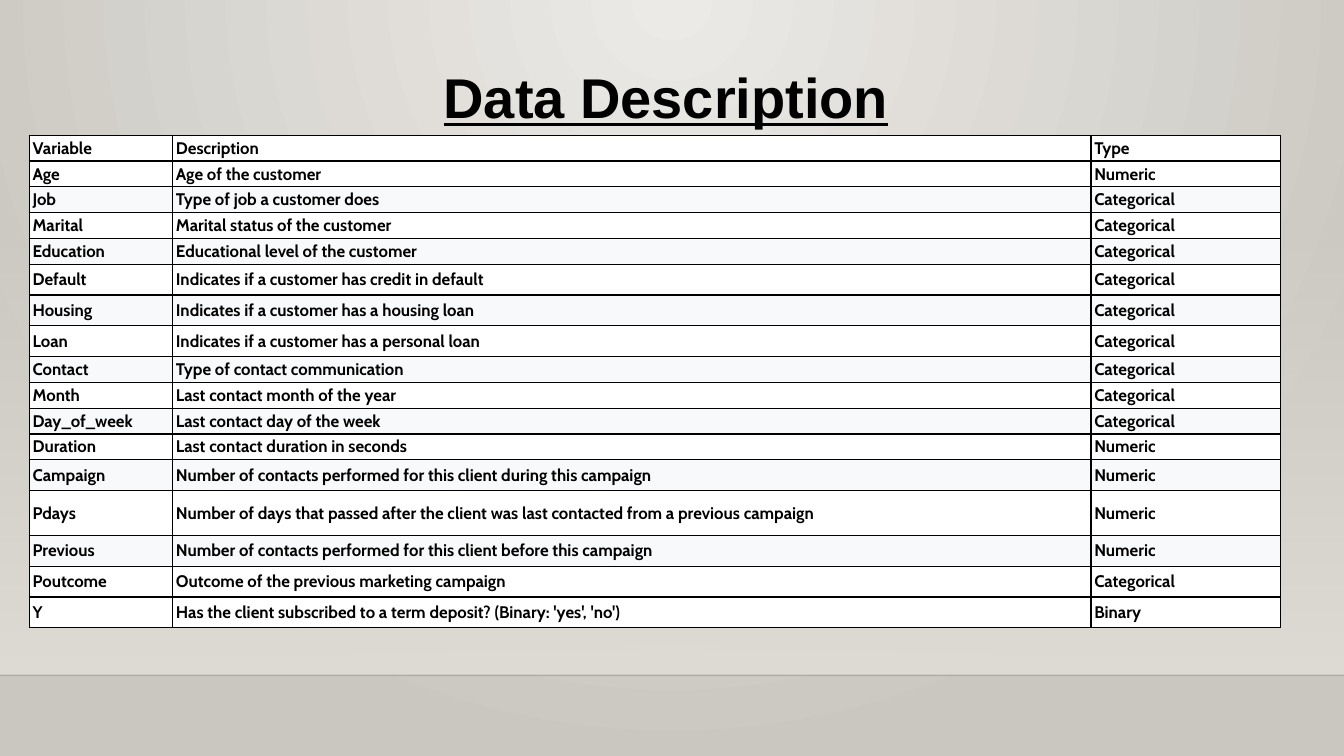
from lxml.etree import SubElement
from pptx import Presentation
from pptx.dml.color import RGBColor
from pptx.enum.shapes import MSO_CONNECTOR, MSO_SHAPE
from pptx.enum.text import MSO_ANCHOR, PP_ALIGN
from pptx.oxml.ns import qn
from pptx.util import Pt

BLACK = RGBColor(0x00, 0x00, 0x00)
EDGE = RGBColor(0x00, 0x00, 0x01)
WHITE = RGBColor(0xFF, 0xFF, 0xFF)
PALE = RGBColor(0xF8, 0xF9, 0xFA)
LIGHT = RGBColor(0xEC, 0xEA, 0xE7)
STONE = RGBColor(0xCA, 0xC7, 0xC1)
SAND = RGBColor(0xDF, 0xDB, 0xD5)

WIDE, HIGH = 960, 540
COLS = (102.4, 656, 135.2)
LOW, MID, TALL = 18.45, 22, 32

ROWS = (
    ("Variable", "Description", "Type", LOW),
    ("Age", "Age of the customer", "Numeric", LOW),
    ("Job", "Type of job a customer does", "Categorical", LOW),
    ("Marital", "Marital status of the customer", "Categorical", LOW),
    ("Education", "Educational level of the customer", "Categorical", LOW),
    ("Default", "Indicates if a customer has credit in default", "Categorical", MID),
    ("Housing", "Indicates if a customer has a housing loan", "Categorical", MID),
    ("Loan", "Indicates if a customer has a personal loan", "Categorical", MID),
    ("Contact", "Type of contact communication", "Categorical", LOW),
    ("Month", "Last contact month of the year", "Categorical", LOW),
    ("Day_of_week", "Last contact day of the week", "Categorical", LOW),
    ("Duration", "Last contact duration in seconds", "Numeric", LOW),
    ("Campaign", "Number of contacts performed for this client during this campaign",
     "Numeric", MID),
    ("Pdays", "Number of days that passed after the client was last contacted "
     "from a previous campaign", "Numeric", TALL),
    ("Previous", "Number of contacts performed for this client before this campaign",
     "Numeric", MID),
    ("Poutcome", "Outcome of the previous marketing campaign", "Categorical", MID),
    ("Y", "Has the client subscribed to a term deposit? (Binary: 'yes', 'no')",
     "Binary", MID),
)


def blend(fill, first, last):
    """Give a fill a gradient from the first colour to the last."""
    fill.gradient()
    for stop, tone, place in zip(fill.gradient_stops, (first, last), (0, 1)):
        stop.color.rgb = tone
        stop.position = place


def fade(tone, share):
    """Set the opacity of a colour element in percent."""
    SubElement(tone, qn("a:alpha")).set("val", str(share * 1000))


def draw_back(slide):
    """Light the background in circles from the top centre."""
    blend(slide.background.fill, LIGHT, STONE)
    grad = next(slide.element.iter(qn("a:gradFill")))
    grad.remove(grad.find(qn("a:lin")))
    glow = SubElement(grad, qn("a:path"))
    glow.set("path", "circle")
    rect = SubElement(glow, qn("a:fillToRect"))
    for side, share in zip("ltrb", (43, 0, 43, 100)):
        rect.set(side, str(share * 1000))


def draw_floor(slide, left, top, width, height):
    """Draw the wall's fading tint and the floor line beneath it."""
    wall = slide.shapes.add_shape(
        MSO_SHAPE.RECTANGLE, Pt(left), Pt(top), Pt(width), Pt(height))
    wall.shadow.inherit = False
    wall.line.fill.background()
    blend(wall.fill, SAND, SAND)
    wall.fill.gradient_angle = 270
    fade(next(wall.element.iter(qn("a:srgbClr"))), 0)

    base = Pt(top + height)
    line = slide.shapes.add_connector(
        MSO_CONNECTOR.STRAIGHT, Pt(left), base, Pt(left + width), base)
    line.begin_connect(wall, 1)
    line.begin_x, line.begin_y = Pt(left), base
    line.element.nvCxnSpPr.cNvCxnSpPr.remove(
        line.element.nvCxnSpPr.cNvCxnSpPr.stCxn)
    line.line.width = Pt(1)
    line.line.color.rgb = EDGE
    fade(next(line.element.iter(qn("a:srgbClr"))), 20)
    SubElement(line.element.spPr, qn("a:effectLst"))


def draw_title(slide, left, top, width, height):
    """Place the underlined title in front of the wall."""
    title = slide.shapes.title
    title.left, title.top = Pt(left), Pt(top)
    title.width, title.height = Pt(width), Pt(height)
    frame = title.text_frame
    frame.text = "Data Description"
    frame.word_wrap = True
    frame.vertical_anchor = MSO_ANCHOR.BOTTOM
    para = frame.paragraphs[0]
    para.alignment = PP_ALIGN.CENTER
    font = para.runs[0].font
    font.name, font.size = "Arial", Pt(40)
    font.bold = font.underline = True
    font.color.rgb = BLACK
    title.element.getparent().append(title.element)


def frame_cell(cell):
    """Draw thin black borders on all four sides of a cell."""
    props = cell._tc.get_or_add_tcPr()
    for side in ("a:lnL", "a:lnR", "a:lnT", "a:lnB"):
        edge = SubElement(props, qn(side))
        edge.set("w", str(Pt(1)))
        fill = SubElement(edge, qn("a:solidFill"))
        SubElement(fill, qn("a:srgbClr")).set("val", str(BLACK))


def fill_cell(cell, text, tint):
    """Write one cell and set its font, margins, borders and fill."""
    cell.text_frame.text = text
    font = cell.text_frame.paragraphs[0].runs[0].font
    font.name, font.size, font.bold = "Cabin", Pt(12), True
    font.color.rgb = BLACK
    cell.vertical_anchor = MSO_ANCHOR.MIDDLE
    cell.margin_left = cell.margin_right = Pt(2.4)
    cell.margin_top = cell.margin_bottom = Pt(1.6)
    frame_cell(cell)
    cell.fill.solid()
    cell.fill.fore_color.rgb = tint


def draw_table(slide, left, top, width, height):
    """Build the table of variables with pale even rows."""
    table = slide.shapes.add_table(
        len(ROWS), len(COLS), Pt(left), Pt(top), Pt(width), Pt(height)).table
    table.first_row = table.horz_banding = False
    for col, size in zip(table.columns, COLS):
        col.width = Pt(size)
    last = len(ROWS) - 1
    for r, (*texts, size) in enumerate(ROWS):
        table.rows[r].height = Pt(size)
        tint = PALE if 0 < r < last and r % 2 == 0 else WHITE
        for c, text in enumerate(texts):
            fill_cell(table.cell(r, c), text, tint)


def main():
    """Build the slide and save it."""
    deck = Presentation()
    deck.slide_width, deck.slide_height = Pt(WIDE), Pt(HIGH)
    slide = deck.slides.add_slide(deck.slide_layouts[5])
    draw_back(slide)
    draw_floor(slide, 0, 159, WIDE, 323.4)
    draw_title(slide, 20.9, 41, 909.4, 55.6)
    draw_table(slide, 20.9, 96.6, sum(COLS), sum(row[-1] for row in ROWS))
    deck.save("out.pptx")


if __name__ == "__main__":
    main()
